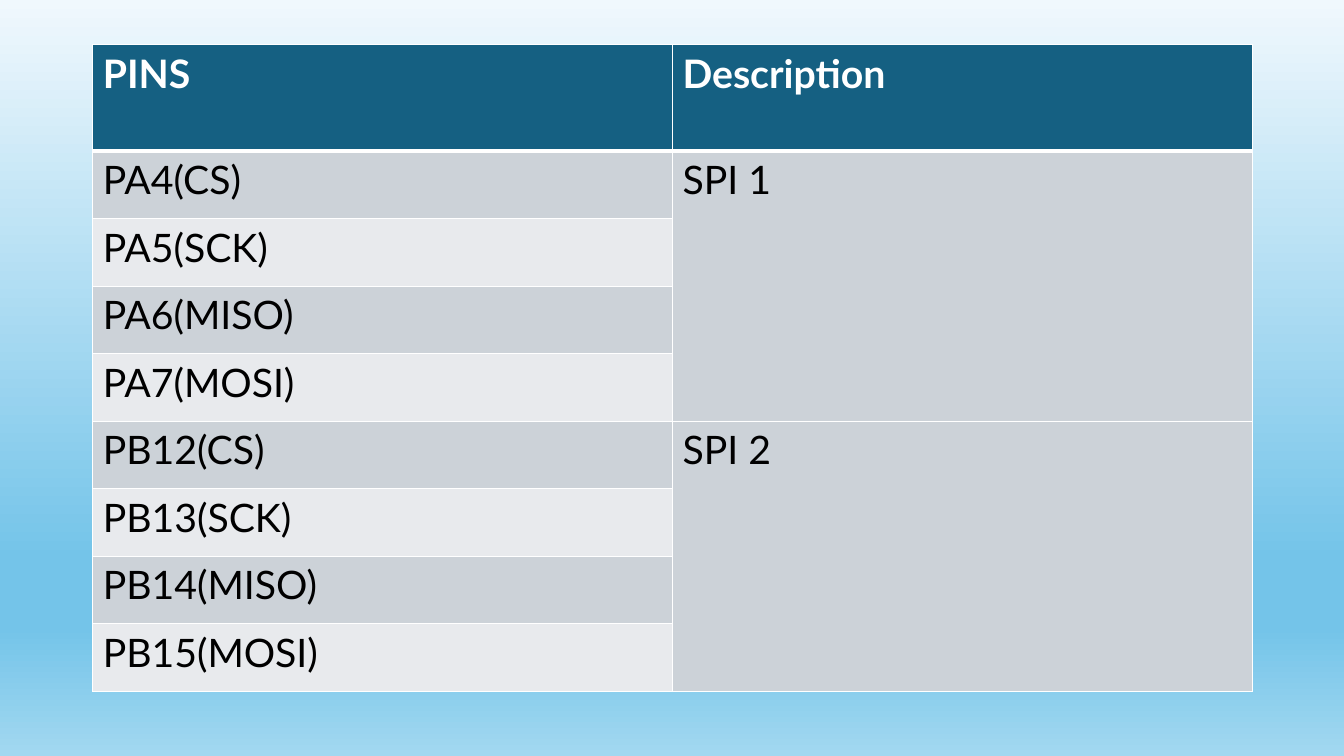
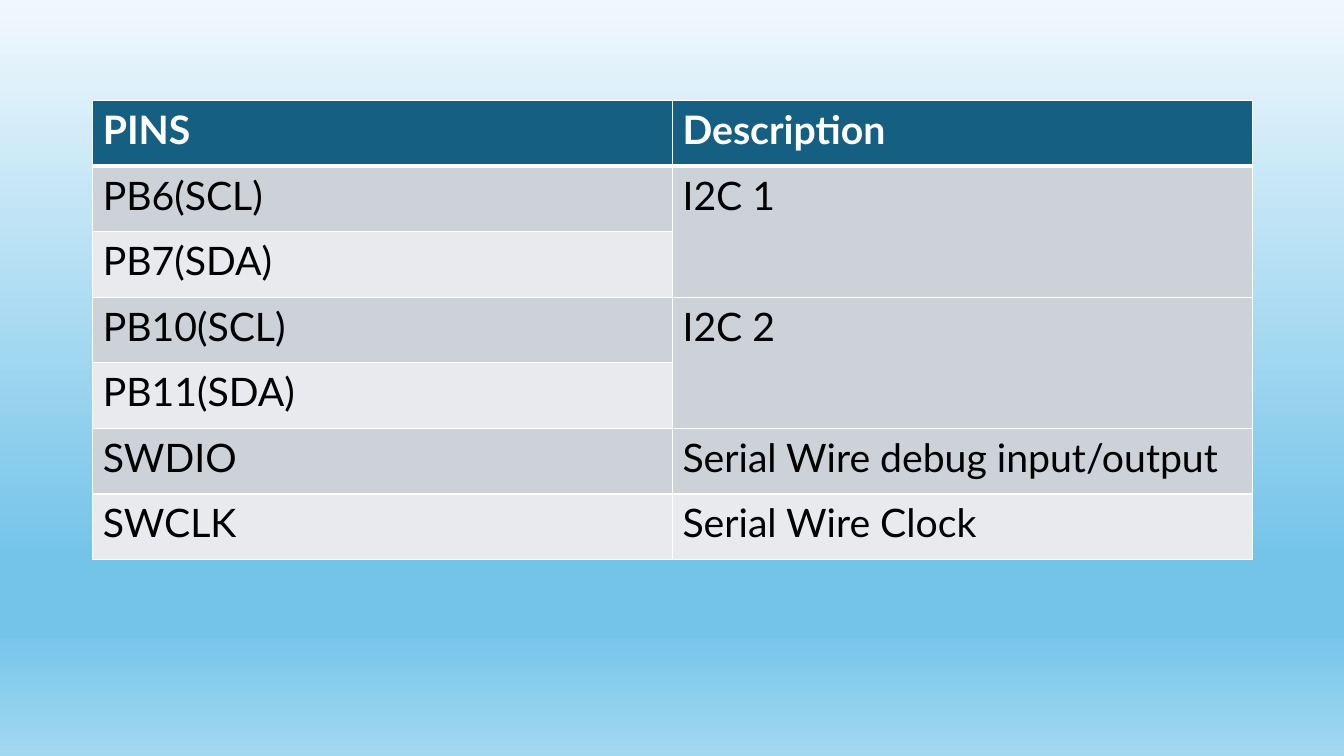
from lxml import etree
from pptx import Presentation
from pptx.dml.color import RGBColor
from pptx.oxml.ns import qn
from pptx.util import Inches, Pt

FONT = "Lato"
WHITE = RGBColor(0xFF, 0xFF, 0xFF)
BLACK = RGBColor(0x00, 0x00, 0x00)
HEADER_BLUE = RGBColor(0x15, 0x60, 0x82)
DARK_BAND = RGBColor(0xCC, 0xD2, 0xD8)
LIGHT_BAND = RGBColor(0xE8, 0xEA, 0xED)
SKY_PALE = RGBColor(0xF0, 0xF8, 0xFD)
SKY_DEEP = RGBColor(0x74, 0xC4, 0xE9)
SKY_SOFT = RGBColor(0xA2, 0xD8, 0xF0)
SKY_STOPS = [(0, SKY_PALE), (74, SKY_DEEP), (83, SKY_DEEP), (100, SKY_SOFT)]

BLANK_LAYOUT = 6
TABLE_LEFT = Inches(0.92)
COLUMN_WIDTH = Inches(5.75)
HEADINGS = ("PINS", "Description")
THIN, THICK = Pt(1), Pt(3)

SPI_GROUPS = [
    ("SPI 1", ["PA4(CS)", "PA5(SCK)", "PA6(MISO)", "PA7(MOSI)"]),
    ("SPI 2", ["PB12(CS)", "PB13(SCK)", "PB14(MISO)", "PB15(MOSI)"]),
]
I2C_AND_DEBUG_GROUPS = [
    ("I2C 1", ["PB6(SCL)", "PB7(SDA)"]),
    ("I2C 2", ["PB10(SCL)", "PB11(SDA)"]),
    ("Serial Wire debug input/output", ["SWDIO"]),
    ("Serial Wire Clock", ["SWCLK"]),
]


def add_color(parent, color):
    """Append an RGB colour element to a fill or gradient stop."""
    etree.SubElement(parent, qn("a:srgbClr"), val=str(color))


def paint_background(master):
    """Give every slide the sky gradient through the master."""
    fill = master.background.fill
    fill.gradient()
    fill.gradient_angle = 270
    stop_list = master.element.xpath("./p:cSld/p:bg//a:gsLst")[0]
    for stop in list(stop_list):
        stop_list.remove(stop)
    for percent, color in SKY_STOPS:
        stop = etree.SubElement(stop_list, qn("a:gs"), pos=str(percent * 1000))
        add_color(stop, color)


def write_text(cell, text, size=28, color=BLACK, bold=False):
    """Write formatted text in a table cell."""
    run = cell.text_frame.paragraphs[0].add_run()
    run.text = text
    run.font.name = FONT
    run.font.size = Pt(size)
    run.font.color.rgb = color
    run.font.bold = bold


def style_cell(cell, color, top=THIN, bottom=THIN):
    """Set a cell's white borders and its fill."""
    properties = cell._tc.get_or_add_tcPr()
    widths = {"a:lnL": THIN, "a:lnR": THIN, "a:lnT": top, "a:lnB": bottom}
    for side, width in widths.items():
        border = etree.SubElement(properties, qn(side), w=str(width))
        add_color(etree.SubElement(border, qn("a:solidFill")), WHITE)
    cell.fill.solid()
    cell.fill.fore_color.rgb = color


def style_table(table):
    """Colour the header and alternate the bands below it."""
    for row_index, row in enumerate(table.rows):
        for cell in row.cells:
            if row_index == 0:
                style_cell(cell, HEADER_BLUE, bottom=THICK)
            else:
                band = DARK_BAND if row_index % 2 else LIGHT_BAND
                style_cell(cell, band, top=THICK if row_index == 1 else THIN)


def add_pin_slide(prs, groups, top, header_height, row_height):
    """Add a slide whose table lists pins beside their shared description."""
    slide = prs.slides.add_slide(prs.slide_layouts[BLANK_LAYOUT])
    pin_count = sum(len(pins) for _, pins in groups)
    table = slide.shapes.add_table(
        pin_count + 1, len(HEADINGS), TABLE_LEFT, top,
        COLUMN_WIDTH * len(HEADINGS), header_height + row_height * pin_count,
    ).table
    for row in table.rows:
        row.height = row_height
    table.rows[0].height = header_height
    style_table(table)

    for column, heading in enumerate(HEADINGS):
        write_text(table.cell(0, column), heading, color=WHITE, bold=True)
    first_row = 1
    for description, pins in groups:
        description_cell = table.cell(first_row, 1)
        write_text(description_cell, description)
        for offset, pin in enumerate(pins):
            write_text(table.cell(first_row + offset, 0), pin)
        if len(pins) > 1:
            description_cell.merge(table.cell(first_row + len(pins) - 1, 1))
        first_row += len(pins)


def main():
    """Build the pin description slides."""
    prs = Presentation()
    prs.slide_width, prs.slide_height = Inches(13.33), Inches(7.5)
    paint_background(prs.slide_master)
    add_pin_slide(prs, SPI_GROUPS, top=Inches(0.44),
                  header_height=Inches(1.06), row_height=Inches(0.67))
    add_pin_slide(prs, I2C_AND_DEBUG_GROUPS, top=Inches(1),
                  header_height=Inches(0.65), row_height=Inches(0.65))
    prs.save("out.pptx")


if __name__ == "__main__":
    main()
